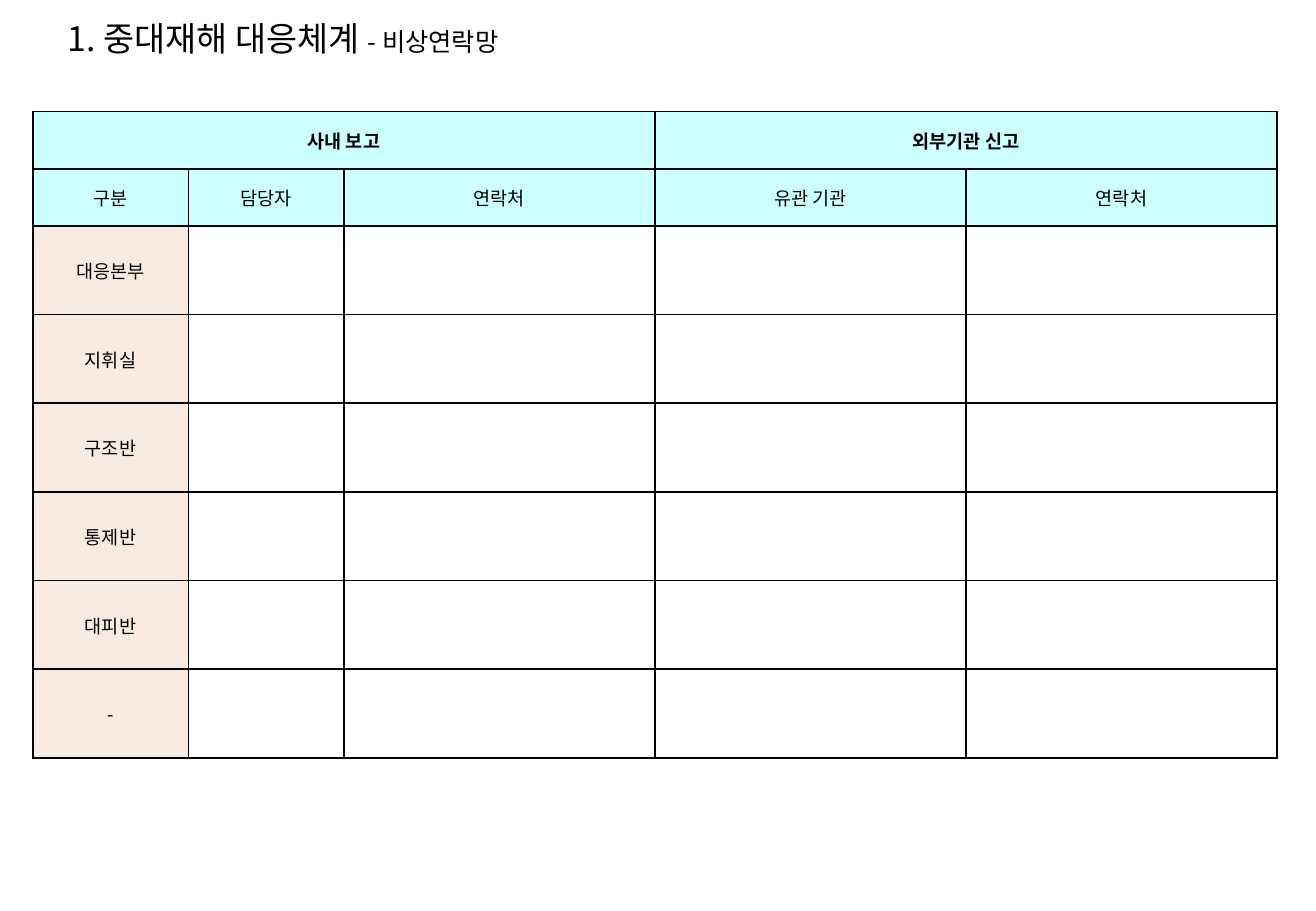
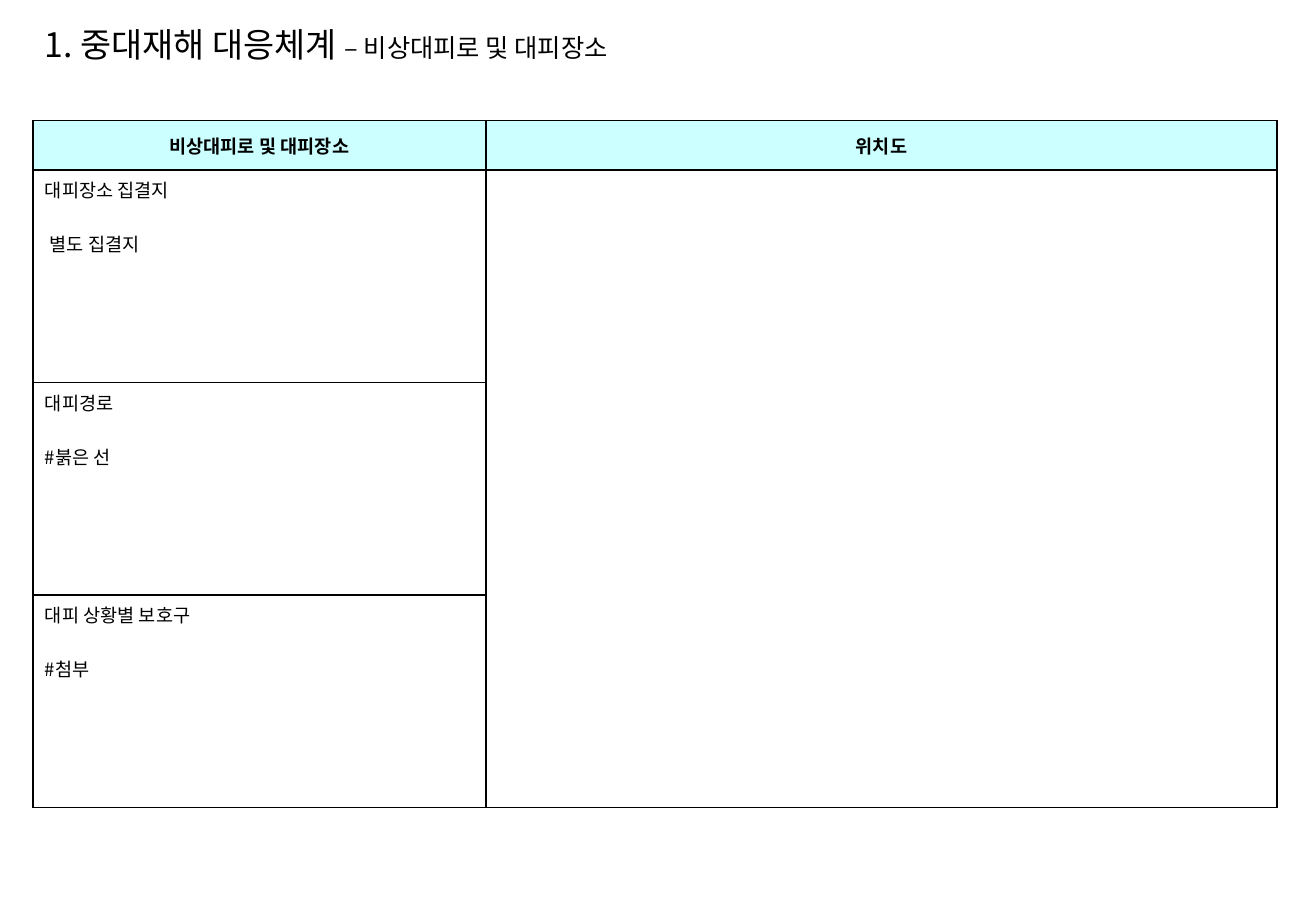
"""Builds two emergency-response slides: a contact table and an evacuation plan."""
from lxml.etree import SubElement
from pptx import Presentation
from pptx.dml.color import RGBColor
from pptx.enum.text import MSO_ANCHOR, PP_ALIGN
from pptx.oxml import parse_xml
from pptx.oxml.ns import nsdecls, qn
from pptx.util import Inches, Pt

FONT = "Noto Sans CJK KR"
COLORS = {"text": "000000", "border": "000000", "head": "CCFFFF",
          "label": "F9EBDF", "paper": "FFFFFF"}
HEADING = "1. 중대재해 대응체계 "
LEFT, WIDTH = 0.27, 10.24

CONTACT_HEADS = [(0, 2, "사내 보고"), (3, 4, "외부기관 신고")]
CONTACT_COLUMNS = ["구분", "담당자", "연락처", "유관 기관", "연락처"]
TEAMS = ["대응본부", "지휘실", "구조반", "통제반", "대피반", "-"]
CONTACT_SHARES = [1, 1, 2, 2, 2]

PLAN_HEADS = ["비상대피로 및 대피장소", "위치도"]
PLAN_ITEMS = [("대피장소 집결지", "별도 집결지", 0.04),
              ("대피경로", "#붉은 선", 0),
              ("대피 상황별 보호구", "#첨부", 0)]
PLAN_SHARES = [3.73, 6.51]


def add_run(p, text, size=11, bold=False):
    r = p.add_run()
    r.text = text
    r.font.size, r.font.bold, r.font.name = Pt(size), bold, FONT
    r.font.color.rgb = RGBColor.from_string(COLORS["text"])
    SubElement(r.font._element, qn("a:ea")).set("typeface", FONT)


def add_title(s, subtitle, box, align=PP_ALIGN.LEFT):
    tf = s.shapes.add_textbox(*map(Inches, box)).text_frame
    tf.word_wrap = True
    tf.vertical_anchor = MSO_ANCHOR.MIDDLE
    p = tf.paragraphs[0]
    p.alignment = align
    add_run(p, HEADING, size=20)
    add_run(p, subtitle, size=15)


def add_grid(s, top, shares, heights):
    shape = s.shapes.add_table(len(heights), len(shares), Inches(LEFT), Inches(top),
                               Inches(WIDTH), Inches(sum(heights)))
    table = shape.table
    for column, share in zip(table.columns, shares):
        column.width = Inches(WIDTH * share / sum(shares))
    for row, height in zip(table.rows, heights):
        row.height = Inches(height)
    for cell in table.iter_cells():
        paint(cell, "paper")
        for i, side in enumerate("LRTB"):
            cell._tc.tcPr.insert(i, parse_xml(
                f'<a:ln{side} {nsdecls("a")} w="12700"><a:solidFill>'
                f'<a:srgbClr val="{COLORS["border"]}"/></a:solidFill></a:ln{side}>'))
    return table


def paint(cell, color):
    cell.fill.solid()
    cell.fill.fore_color.rgb = RGBColor.from_string(COLORS[color])


def label(cell, text, color="head", bold=False):
    paint(cell, color)
    cell.vertical_anchor = MSO_ANCHOR.MIDDLE
    p = cell.text_frame.paragraphs[0]
    p.alignment = PP_ALIGN.CENTER
    add_run(p, text, bold=bold)


def add_contacts(s):
    table = add_grid(s, 0.92, CONTACT_SHARES, [0.47] * 2 + [0.73] * len(TEAMS))
    for first, last, text in CONTACT_HEADS:
        table.cell(0, first).merge(table.cell(0, last))
        label(table.cell(0, first), text, bold=True)
    for col, text in enumerate(CONTACT_COLUMNS):
        label(table.cell(1, col), text)
    for row, team in enumerate(TEAMS, 2):
        label(table.cell(row, 0), team, color="label")
    add_title(s, "- 비상연락망", (0.11, 0.08, 4.44, 0.47), PP_ALIGN.CENTER)


def add_plan(s):
    table = add_grid(s, 0.99, PLAN_SHARES, [0.41] + [1.75] * len(PLAN_ITEMS))
    for col, text in enumerate(PLAN_HEADS):
        label(table.cell(0, col), text, bold=True)
    table.cell(1, 1).merge(table.cell(len(PLAN_ITEMS), 1))
    for row, (topic, detail, indent) in enumerate(PLAN_ITEMS, 1):
        tf = table.cell(row, 0).text_frame
        add_run(tf.paragraphs[0], topic)
        p = tf.add_paragraph()
        p.space_before = Pt(16)
        p._p.get_or_add_pPr().set("marL", str(Inches(indent)))
        add_run(p, detail)
    add_title(s, "– 비상대피로 및 대피장소", (LEFT, 0.13, 5.7, 0.47))


def main():
    prs = Presentation()
    prs.slide_width, prs.slide_height = Inches(10.83), Inches(7.5)
    for build in (add_contacts, add_plan):
        build(prs.slides.add_slide(prs.slide_layouts[6]))
    prs.save("out.pptx")


if __name__ == "__main__":
    main()
